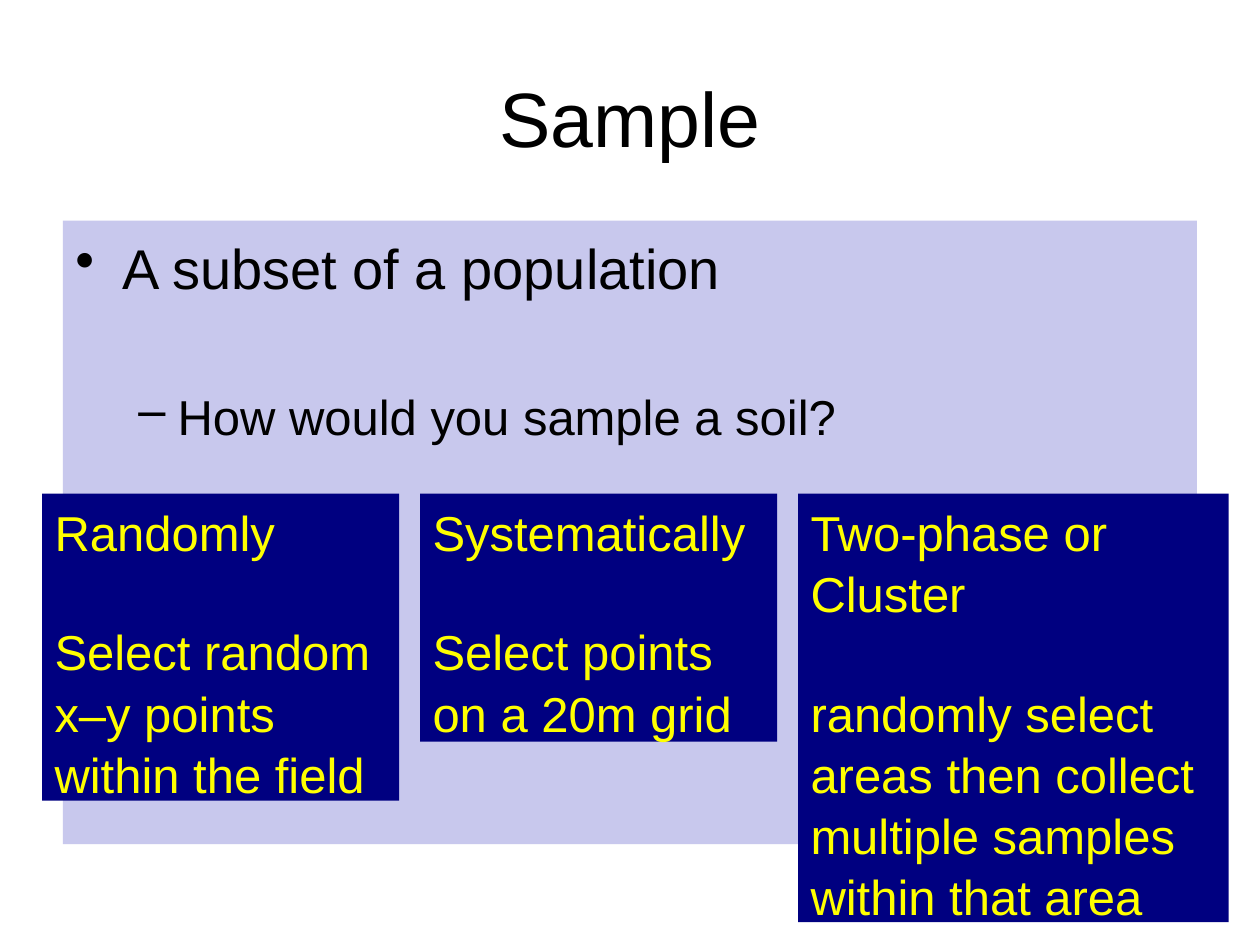
from dataclasses import dataclass

from lxml import etree
from pptx import Presentation
from pptx import util as u
from pptx.dml.color import RGBColor
from pptx.enum import shapes, text
from pptx.oxml.ns import qn


@dataclass(frozen=True)
class Theme:
    font: str = "Arial"
    ink: str = "000000"
    panel: str = "9C9CDF"
    panel_opacity: int = 55
    card: str = "000080"
    card_ink: str = "FFFF00"
    title_size: int = 44
    body_size: int = 32
    detail_size: int = 28


THEME = Theme()
TITLE = "Sample"
# text, bullet, size, left margin (cm), hanging indent (cm), level, space before (pt)
POINTS = [
    ("A subset of a population", "•", THEME.body_size, 0.95, 0.95, 0, 0),
    ("How would you sample a soil?", "–", THEME.detail_size, 2.06, 0.79, 1, 49),
]
# paragraphs, width (cm), height (cm)
METHODS = [
    (["Randomly", "Select random", "x–y points within the field"], 7.2, 6.19),
    (["Systematically", "Select points on a 20m grid"], 7.2, 5.0),
    (["Two-phase or Cluster",
      "randomly select areas then collect multiple samples within that area"], 8.68, 8.64),
]
METHOD_LEFT, METHOD_TOP, METHOD_GAP = 0.85, 9.95, 0.42
HEADING_GAP = 33.5
LINE_SPACING = 1.04


def style(paragraph, size, color):
    paragraph.font.name = THEME.font
    paragraph.font.size = u.Pt(size)
    paragraph.font.color.rgb = RGBColor.from_string(color)


def add_box(slide, left, top, width, height, fill):
    box = slide.shapes.add_shape(shapes.MSO_SHAPE.RECTANGLE,
                                 u.Cm(left), u.Cm(top), u.Cm(width), u.Cm(height))
    box.shadow.inherit = False
    box.fill.solid()
    box.fill.fore_color.rgb = RGBColor.from_string(fill)
    box.line.fill.background()
    box.text_frame.word_wrap = True
    box.text_frame.vertical_anchor = text.MSO_ANCHOR.TOP
    return box


def write_paragraphs(frame, lines):
    """Fill the frame and return its left-aligned paragraphs."""
    frame.text = "\n".join(lines)
    for paragraph in frame.paragraphs:
        paragraph.alignment = text.PP_ALIGN.LEFT
    return frame.paragraphs


def add_title(slide):
    title = slide.shapes.add_textbox(u.Cm(1.27), u.Cm(0.76), u.Cm(22.86), u.Cm(3.18))
    frame = title.text_frame
    frame.word_wrap = True
    frame.vertical_anchor = text.MSO_ANCHOR.MIDDLE
    frame.text = TITLE
    frame.paragraphs[0].alignment = text.PP_ALIGN.CENTER
    style(frame.paragraphs[0], THEME.title_size, THEME.ink)


def add_panel(slide):
    panel = add_box(slide, 1.27, 4.45, 22.86, 12.57, THEME.panel)
    color = panel.fill._xPr.find(qn("a:solidFill"))[0]
    etree.SubElement(color, qn("a:alpha"), val=str(THEME.panel_opacity * 1000))
    panel.text_frame.margin_top = u.Cm(0.25)
    paragraphs = write_paragraphs(panel.text_frame, [point[0] for point in POINTS])
    for paragraph, (_, bullet, size, margin, hanging, level, before) in zip(paragraphs, POINTS):
        paragraph.level = level
        paragraph.space_before = u.Pt(before)
        properties = paragraph._p.get_or_add_pPr()
        properties.set("marL", str(u.Cm(margin)))
        properties.set("indent", str(-u.Cm(hanging)))
        etree.SubElement(properties, qn("a:buChar"), char=bullet)
        style(paragraph, size, THEME.ink)


def add_methods(slide):
    left = METHOD_LEFT
    for lines, width, height in METHODS:
        card = add_box(slide, left, METHOD_TOP, width, height, THEME.card)
        paragraphs = write_paragraphs(card.text_frame, lines)
        for paragraph in paragraphs:
            paragraph.line_spacing = LINE_SPACING
            style(paragraph, THEME.detail_size, THEME.card_ink)
        paragraphs[1].space_before = u.Pt(HEADING_GAP)
        left += width + METHOD_GAP


def main():
    presentation = Presentation()
    presentation.slide_width, presentation.slide_height = u.Cm(25.4), u.Cm(19.05)
    slide = presentation.slides.add_slide(presentation.slide_layouts[6])
    add_title(slide)
    add_panel(slide)
    add_methods(slide)
    presentation.save("out.pptx")


if __name__ == "__main__":
    main()
